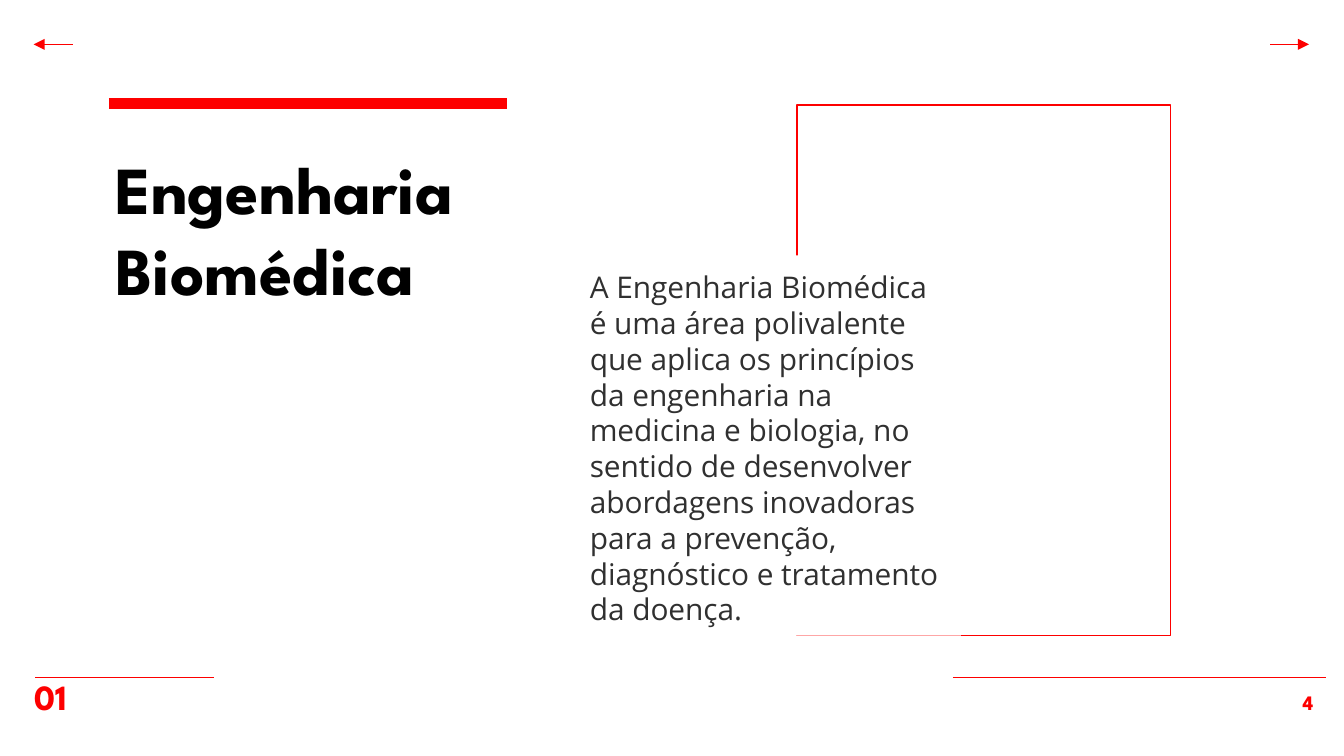
from lxml import etree
from pptx import Presentation
from pptx.dml.color import RGBColor
from pptx.enum.shapes import MSO_CONNECTOR as Connector, MSO_SHAPE as Shape
from pptx.enum.text import MSO_ANCHOR as Anchor, PP_ALIGN as Align
from pptx.oxml.ns import qn
from pptx.util import Inches, Pt

RED = RGBColor(0xFD, 0x00, 0x00)
BLACK = RGBColor(0x00, 0x00, 0x00)
GRAY = RGBColor(0x30, 0x30, 0x30)
WHITE = RGBColor(0xFF, 0xFF, 0xFF)

HEADING = {"name": "League Spartan", "bold": True}
TITLE = {**HEADING, "size": Pt(36), "color": BLACK}
SECTION = {**HEADING, "size": Pt(19), "color": RED}
NUMBER = {**HEADING, "size": Pt(11), "color": RED}
BODY = {"name": "Open Sans", "bold": False, "size": Pt(16), "color": GRAY}

DESCRIPTION = (
    "A Engenharia Biomédica é uma área polivalente que aplica os princípios "
    "da engenharia na medicina e biologia, no sentido de desenvolver "
    "abordagens inovadoras para a prevenção, diagnóstico e tratamento da doença."
)


def add_line(page, start, end, width=0.75, arrow=False):
    """Draw a red line between two points, with an optional arrowhead."""
    ends = [Inches(value) for value in (*start, *end)]
    line = page.shapes.add_connector(Connector.STRAIGHT, *ends)
    line.line.color.rgb = RED
    line.line.width = Pt(width)
    if arrow:
        outline = line._element.spPr.find(qn("a:ln"))
        etree.SubElement(outline, qn("a:tailEnd"), type="triangle")
    etree.SubElement(line._element.spPr, qn("a:effectLst"))


def add_text(page, box, text, style, align=Align.LEFT, anchor=Anchor.TOP,
             inset=0.1, fill=None):
    """Place one styled paragraph in a box."""
    holder = page.shapes.add_textbox(*[Inches(value) for value in box])
    if fill is not None:
        holder.fill.solid()
        holder.fill.fore_color.rgb = fill
    frame = holder.text_frame
    layout = {
        "word_wrap": True, "vertical_anchor": anchor,
        "margin_left": Inches(0.1), "margin_right": Inches(0.1),
        "margin_top": Inches(inset), "margin_bottom": Inches(inset),
    }
    for name, value in layout.items():
        setattr(frame, name, value)
    para = frame.paragraphs[0]
    para.alignment = align
    span = para.add_run()
    span.text = text
    for name, value in style.items():
        if name == "color":
            span.font.color.rgb = value
        else:
            setattr(span.font, name, value)


def add_navigation(page, left, right, top):
    """Point an arrow outwards at each upper corner."""
    length = 0.29
    add_line(page, (right - length, top), (right, top), arrow=True)
    add_line(page, (left + length, top), (left, top), arrow=True)


def add_heading(page, left, top, width):
    """Set the title below its thick rule."""
    add_line(page, (left, top), (left + width, top), width=6)
    add_text(page, (left - 0.05, top + 0.23, 4.15, 0.54),
             "Engenharia Biomédica", TITLE)


def add_description(page, left, top, width, height):
    """Lay the white description panel over the lower left of a red frame."""
    frame = page.shapes.add_shape(
        Shape.RECTANGLE, *[Inches(value) for value in (left, top, width, height)])
    frame.shadow.inherit = False
    frame.fill.background()
    frame.line.color.rgb = RED
    frame.line.width = Pt(0.75)
    panel_height = 2.83
    panel = (left - 1.64, top + height - panel_height, 2.86, panel_height)
    add_text(page, panel, DESCRIPTION, BODY, fill=WHITE)


def add_footer(page, left, right, top):
    """Draw the footer rules with the section and page numbers."""
    add_line(page, (left + 1.33, top), (left, top))
    add_line(page, (right - 2.78, top), (right, top))
    add_text(page, (right - 0.64, top, 0.64, 0.43), "4", NUMBER, align=Align.RIGHT)
    add_text(page, (left - 0.1, top + 0.12, 1.85, 0.18), "01", SECTION,
             anchor=Anchor.BOTTOM, inset=0)


def main():
    """Build and save the deck."""
    deck = Presentation()
    deck.slide_width = Inches(10)
    deck.slide_height = deck.slide_width * 9 // 16
    page = deck.slides.add_slide(deck.slide_layouts[6])
    add_footer(page, 0.26, 9.87, 5.04)
    add_heading(page, 0.81, 0.77, 2.96)
    add_description(page, 5.93, 0.78, 2.78, 3.95)
    add_navigation(page, 0.25, 9.74, 0.33)
    deck.save("out.pptx")


if __name__ == "__main__":
    main()
